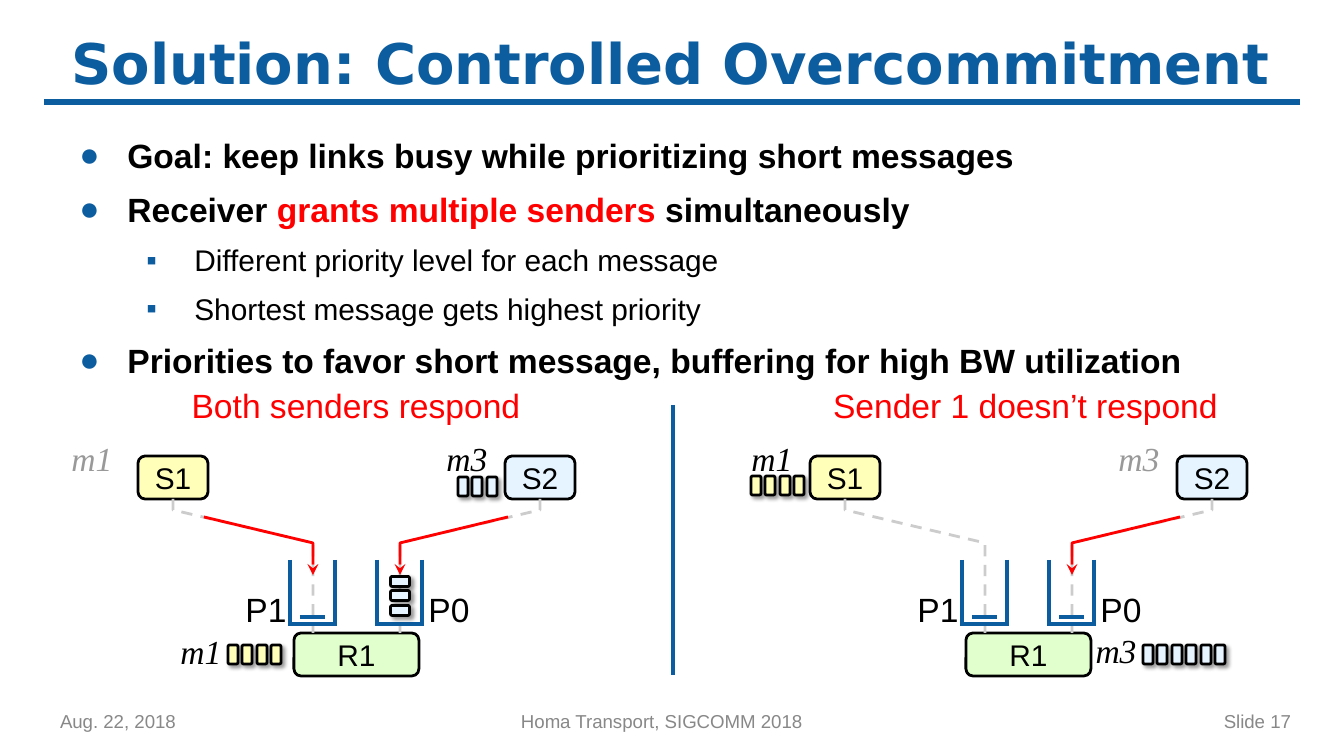
from dataclasses import dataclass
from lxml.etree import SubElement
from pptx import Presentation
from pptx.dml.color import RGBColor
from pptx.enum.dml import MSO_LINE
from pptx.enum.shapes import MSO_CONNECTOR, MSO_SHAPE
from pptx.enum.text import MSO_ANCHOR, MSO_AUTO_SIZE, PP_ALIGN
from pptx.oxml.ns import qn
from pptx.util import Emu, Pt

SCALE = 914400 / 134.4
BLUE = RGBColor(0x0C, 0x5D, 0xA0)
RED = RGBColor(0xFF, 0x00, 0x00)
BLACK = RGBColor(0x00, 0x00, 0x00)
GRAY = RGBColor(0x88, 0x88, 0x88)
FADED = RGBColor(0x99, 0x99, 0x99)
DASH_GRAY = RGBColor(0xCC, 0xCC, 0xCC)
YELLOW = RGBColor(0xFF, 0xFF, 0xB9)
PALE_BLUE = RGBColor(0xE5, 0xF4, 0xFF)
GREEN = RGBColor(0xE1, 0xFF, 0xCD)


@dataclass
class Lane:
    sender: str
    color: RGBColor
    sender_x: int
    queue: str
    queue_x: int
    label_x: int
    grant_x: int


@dataclass
class Message:
    name: str
    x: int
    y: int
    color: RGBColor = BLACK


@dataclass
class Packets:
    x: int
    y: int
    count: int
    color: RGBColor


@dataclass
class Panel:
    dx: int
    granted: list[str]
    empty: list[str]
    messages: list[Message]
    packets: list[Packets]


LANES = [
    Lane("S1", YELLOW, 173, "P1", 313, 227, 204),
    Lane("S2", PALE_BLUE, 540, "P0", 400, 410, 508),
]
PANELS = [
    Panel(0, ["S1", "S2"], ["P1"],
          [Message("m1", 67, 438, FADED), Message("m3", 442, 438), Message("m1", 176, 631)],
          [Packets(458, 477, 3, PALE_BLUE), Packets(228, 645, 4, YELLOW)]),
    Panel(672, ["S2"], ["P1", "P0"],
          [Message("m1", 75, 438), Message("m3", 442, 438, FADED), Message("m3", 419, 630)],
          [Packets(79, 476, 4, YELLOW), Packets(471, 645, 6, PALE_BLUE)]),
]
BULLETS = [
    (0, [("Goal: keep links busy while prioritizing short messages", BLACK)]),
    (0, [("Receiver ", BLACK), ("grants multiple senders", RED), (" simultaneously", BLACK)]),
    (1, [("Different priority level for each message", BLACK)]),
    (1, [("Shortest message gets highest priority", BLACK)]),
    (0, [("Priorities to favor short message, buffering for high BW utilization", BLACK)]),
]


def px(n: float) -> Emu:
    return Emu(round(n * SCALE))


def place(sp, x: int, y: int, w: int, h: int) -> None:
    sp.left, sp.top, sp.width, sp.height = px(x), px(y), px(w), px(h)


def style(r, size: int, color: RGBColor, name: str = "Arial", bold=False, italic=False) -> None:
    f = r.font
    f.size, f.name, f.bold, f.italic = Pt(size), name, bold, italic
    f.color.rgb = color


def write(sp, text: str, size: int, color: RGBColor, align=PP_ALIGN.CENTER,
          anchor=MSO_ANCHOR.TOP, inset: bool = True, **font) -> None:
    tf = sp.text_frame
    tf.text = text
    tf.word_wrap, tf.auto_size, tf.vertical_anchor = True, MSO_AUTO_SIZE.NONE, anchor
    tf.margin_left = tf.margin_right = px(13 if inset else 0)
    tf.margin_top = tf.margin_bottom = px(7 if inset else 0)
    p = tf.paragraphs[0]
    p.alignment = align
    style(p.runs[0], size, color, **font)


def label(s, x: int, y: int, w: int, h: int, text: str, size: int, color: RGBColor, **opts) -> None:
    write(s.shapes.add_textbox(px(x), px(y), px(w), px(h)), text, size, color, **opts)


def line(s, x1: int, y1: int, x2: int, y2: int, width: float = 2.25):
    c = s.shapes.add_connector(MSO_CONNECTOR.STRAIGHT, px(x1), px(y1), px(x2), px(y2))
    c.line.color.rgb, c.line.width = BLUE, Pt(width)
    SubElement(c._element.spPr, qn("a:effectLst"))
    return c


def box(s, x: int, y: int, w: int, h: int, color: RGBColor):
    sp = s.shapes.add_shape(MSO_SHAPE.ROUNDED_RECTANGLE, px(x), px(y), px(w), px(h))
    sp.shadow.inherit = False
    sp.fill.solid()
    sp.fill.fore_color.rgb = color
    sp.line.color.rgb, sp.line.width = BLACK, Pt(1.5)
    return sp


def node(s, x: int, y: int, w: int, text: str, color: RGBColor) -> None:
    write(box(s, x, y, w, 43, color), text, 16, BLACK, anchor=MSO_ANCHOR.MIDDLE)


def packet(s, x: int, y: int, color: RGBColor, rotation: int = 0) -> None:
    sp = box(s, x, y, 10, 19, color)
    sp.rotation = rotation
    effects = sp._element.spPr.find(qn("a:effectLst"))
    shadow = SubElement(effects, qn("a:outerShdw"), blurRad="25400", dist="25400",
                        dir="2700000", algn="tl", rotWithShape="0")
    black = SubElement(shadow, qn("a:srgbClr"), val="000000")
    SubElement(black, qn("a:alpha"), val="40000")


def route(s, points: list[tuple[int, int]], color: RGBColor, grant: bool) -> None:
    fb = s.shapes.build_freeform(*points[0], scale=SCALE)
    fb.add_line_segments(points[1:], close=False)
    sp = fb.convert_to_shape()
    sp.shadow.inherit = False
    sp.fill.background()
    sp.line.color.rgb, sp.line.width = color, Pt(1.5)
    if grant:
        SubElement(sp.line._get_or_add_ln(), qn("a:tailEnd"), type="stealth")
    else:
        sp.line.dash_style = MSO_LINE.DASH


def draw_lane(s, lane: Lane, panel: Panel) -> None:
    sx, qx = lane.sender_x + panel.dx, lane.queue_x + panel.dx
    node(s, sx - 35, 456, 70, lane.sender, lane.color)
    label(s, lane.label_x + panel.dx, 582, 78, 60, lane.queue, 18, BLACK)
    route(s, [(sx, 499), (sx, 510), (qx, 543), (qx, 633)], DASH_GRAY, False)
    for x in (qx - 23, qx + 22):
        line(s, x, 560, x, 626)
    line(s, qx - 23, 624, qx + 22, 624)
    if lane.queue in panel.empty:
        line(s, qx - 13, 617, qx + 12, 617)
    else:
        for i in range(3):
            packet(s, qx - 5, 572 + i * 29 // 2, lane.color, 90)
    if lane.sender in panel.granted:
        route(s, [(lane.grant_x + panel.dx, 517), (qx, 543), (qx, 575)], RED, True)


def draw_panel(s, panel: Panel) -> None:
    node(s, 294 + panel.dx, 633, 125, "R1", GREEN)
    for lane in LANES:
        draw_lane(s, lane, panel)
    for m in panel.messages:
        label(s, m.x + panel.dx, m.y, 50, 30, m.name, 18, m.color, inset=False,
              name="Times New Roman", italic=True)
    for group in panel.packets:
        for i in range(group.count):
            packet(s, group.x + panel.dx + i * 29 // 2, group.y, group.color)


def fill_body(sp) -> None:
    place(sp, 47, 116, 1250, 564)
    tf = sp.text_frame
    tf.auto_size = MSO_AUTO_SIZE.NONE
    for i, (level, runs) in enumerate(BULLETS):
        p = tf.add_paragraph() if i else tf.paragraphs[0]
        p.level, p.line_spacing, p.space_before = level, 1.3, Pt(1)
        for text, color in runs:
            r = p.add_run()
            r.text = text
            style(r, 16 if level else 18, color, bold=level == 0)
        pPr = p._p.get_or_add_pPr()
        pPr.set("marL", str(px(67 * (level + 1))))
        pPr.set("indent", str(px(-48)))
        SubElement(SubElement(pPr, qn("a:buClr")), qn("a:srgbClr"), val=str(BLUE))
        SubElement(pPr, qn("a:buFont"), typeface="Arial")
        SubElement(pPr, qn("a:buChar"), char="▪" if level else "●")


def main() -> None:
    prs = Presentation()
    prs.slide_width, prs.slide_height = px(1344), px(756)
    s = prs.slides.add_slide(prs.slide_layouts[1])
    title, body = s.placeholders
    place(title, 44, 22, 1254, 80)
    write(title, "Solution: Controlled Overcommitment", 30, BLUE, anchor=MSO_ANCHOR.MIDDLE,
          name="DejaVu Sans", bold=True)
    fill_body(body)
    rule = line(s, 47, 102, 1297, 102, 3.5)
    rule.line._get_or_add_ln().set("cap", "sq")
    for x, w, text, align in [(47, 148, "Aug. 22, 2018", PP_ALIGN.LEFT),
                              (495, 333, "Homa Transport, SIGCOMM 2018", PP_ALIGN.CENTER),
                              (1203, 101, "Slide 17", PP_ALIGN.RIGHT)]:
        label(s, x, 701, w, 40, text, 10, GRAY, align=align, anchor=MSO_ANCHOR.MIDDLE)
    label(s, 175, 385, 362, 40, "Both senders respond", 18, RED, inset=False)
    label(s, 833, 385, 437, 40, "Sender 1 doesn’t respond", 18, RED, align=PP_ALIGN.LEFT, inset=False)
    line(s, 673, 405, 673, 675)
    for panel in PANELS:
        draw_panel(s, panel)
    prs.save("out.pptx")


if __name__ == "__main__":
    main()
